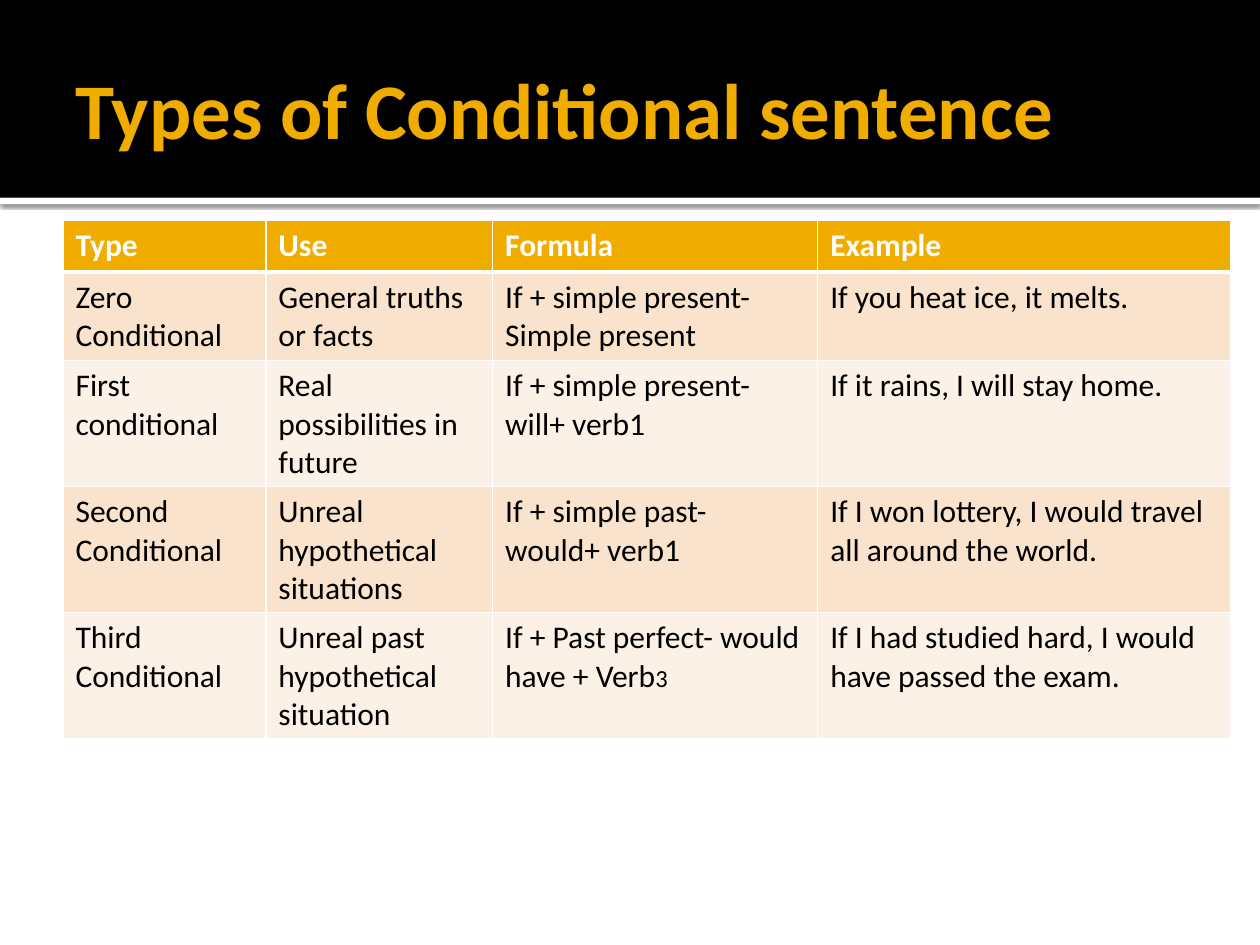
from lxml.etree import SubElement
from pptx import Presentation
from pptx.dml.color import RGBColor
from pptx.enum.shapes import MSO_SHAPE
from pptx.enum.text import MSO_ANCHOR
from pptx.oxml.ns import qn
from pptx.util import Inches, Pt

COLORS = {
    "white": "FFFFFF",
    "black": "000000",
    "gold": "F0AD00",
    "band_dark": "F9E3CC",
    "band_light": "FCF1E7",
}
FONT = "Calibri"
COLUMN_WIDTHS = [1.61, 1.8, 2.58, 3.28]
ROW_HEIGHT = 0.41
SMALL_DIGIT = "3"
ROWS = [
    ["Type", "Use", "Formula", "Example"],
    ["Zero Conditional", "General truths or facts",
     "If + simple present- Simple present", "If you heat ice, it melts."],
    ["First conditional", "Real possibilities in future",
     "If + simple present- will+ verb1", "If it rains, I will stay home."],
    ["Second Conditional", "Unreal hypothetical situations",
     "If + simple past-\vwould+ verb1",
     "If I won lottery, I would travel all around the world."],
    ["Third Conditional", "Unreal past hypothetical situation",
     "If + Past perfect- would have + Verb",
     "If I had studied hard, I would have passed the exam."],
]


def rgb(name):
    return RGBColor.from_string(COLORS[name])


class SlideBuilder:
    """Holds the text style and the current slide."""

    def __init__(self, slide, font):
        self.slide = slide
        self.font = font

    def format_run(self, run, color, **values):
        for name, value in {"name": self.font, **values}.items():
            setattr(run.font, name, value)
        run.font.color.rgb = rgb(color)

    def bar(self, top, height, color):
        shape = self.slide.shapes.add_shape(
            MSO_SHAPE.RECTANGLE, 0, Inches(top), Inches(10), Inches(height))
        shape.shadow.inherit = False
        shape.fill.solid()
        shape.fill.fore_color.rgb = rgb(color)
        shape.line.fill.background()
        return shape

    def drop_shadow(self, shape, blur, distance, opacity):
        effects = shape.element.spPr.find(qn("a:effectLst"))
        shadow = SubElement(effects, qn("a:outerShdw"), blurRad=str(Pt(blur)),
                            dist=str(Pt(distance)), dir="5400000",
                            algn="t", rotWithShape="0")
        color = SubElement(shadow, qn("a:srgbClr"), val=COLORS["black"])
        SubElement(color, qn("a:alpha"), val=str(opacity * 1000))

    def title(self, text, left, top, width, height):
        box = self.slide.shapes.add_textbox(
            Inches(left), Inches(top), Inches(width), Inches(height))
        frame = box.text_frame
        settings = {"word_wrap": True, "vertical_anchor": MSO_ANCHOR.MIDDLE,
                    "margin_left": Inches(0.1), "margin_right": Inches(0.05)}
        for name, value in settings.items():
            setattr(frame, name, value)
        run = frame.paragraphs[0].add_run()
        run.text = text
        self.format_run(run, "gold", size=Pt(45), bold=True)

    def cell_borders(self, cell, widths):
        properties = cell._tc.get_or_add_tcPr()
        for position, (side, width) in enumerate(widths.items()):
            line = SubElement(properties, qn(f"a:{side}"), w=str(Pt(width)))
            fill = SubElement(line, qn("a:solidFill"))
            SubElement(fill, qn("a:srgbClr"), val=COLORS["white"])
            properties.insert(position, line)  # borders precede the fill

    def table(self, rows, left, top, column_widths, row_height):
        frame = self.slide.shapes.add_table(
            len(rows), len(column_widths), Inches(left), Inches(top),
            Inches(sum(column_widths)), Inches(row_height * len(rows)))
        table = frame.table
        for column, width in zip(table.columns, column_widths):
            column.width = Inches(width)
        for row_index, texts in enumerate(rows):
            table.rows[row_index].height = Inches(row_height)
            header = row_index == 0
            band = "band_dark" if row_index % 2 else "band_light"
            widths = {"lnL": 1, "lnR": 1,
                      "lnT": 3 if row_index == 1 else 1,
                      "lnB": 3 if header else 1}
            for column_index, text in enumerate(texts):
                cell = table.cell(row_index, column_index)
                cell.fill.solid()
                cell.fill.fore_color.rgb = rgb("gold" if header else band)
                self.cell_borders(cell, widths)
                paragraph = cell.text_frame.paragraphs[0]
                paragraph.text = text
                for run in paragraph.runs:
                    self.format_run(run, "white" if header else "black",
                                    size=Pt(18), bold=header)
        return table


def main():
    presentation = Presentation()
    presentation.slide_width = Inches(10)
    presentation.slide_height = Inches(7.5)
    slide = presentation.slides.add_slide(presentation.slide_layouts[6])
    builder = SlideBuilder(slide, FONT)

    # Header band with a shadowed white strip
    strip = builder.bar(1.57, 0.05, "white")
    builder.drop_shadow(strip, blur=2.5, distance=0.8, opacity=60)
    builder.bar(0, 1.57, "black")
    builder.title("Types of Conditional sentence", 0.5, 0.17, 9, 1.37)

    # Table of conditionals
    table = builder.table(ROWS, 0.5, 1.75, COLUMN_WIDTHS, ROW_HEIGHT)

    # Smaller digit that ends the third conditional's formula
    digit = table.cell(4, 2).text_frame.paragraphs[0].add_run()
    digit.text = SMALL_DIGIT
    builder.format_run(digit, "black", size=Pt(14), bold=False)

    presentation.save("out.pptx")


if __name__ == "__main__":
    main()
